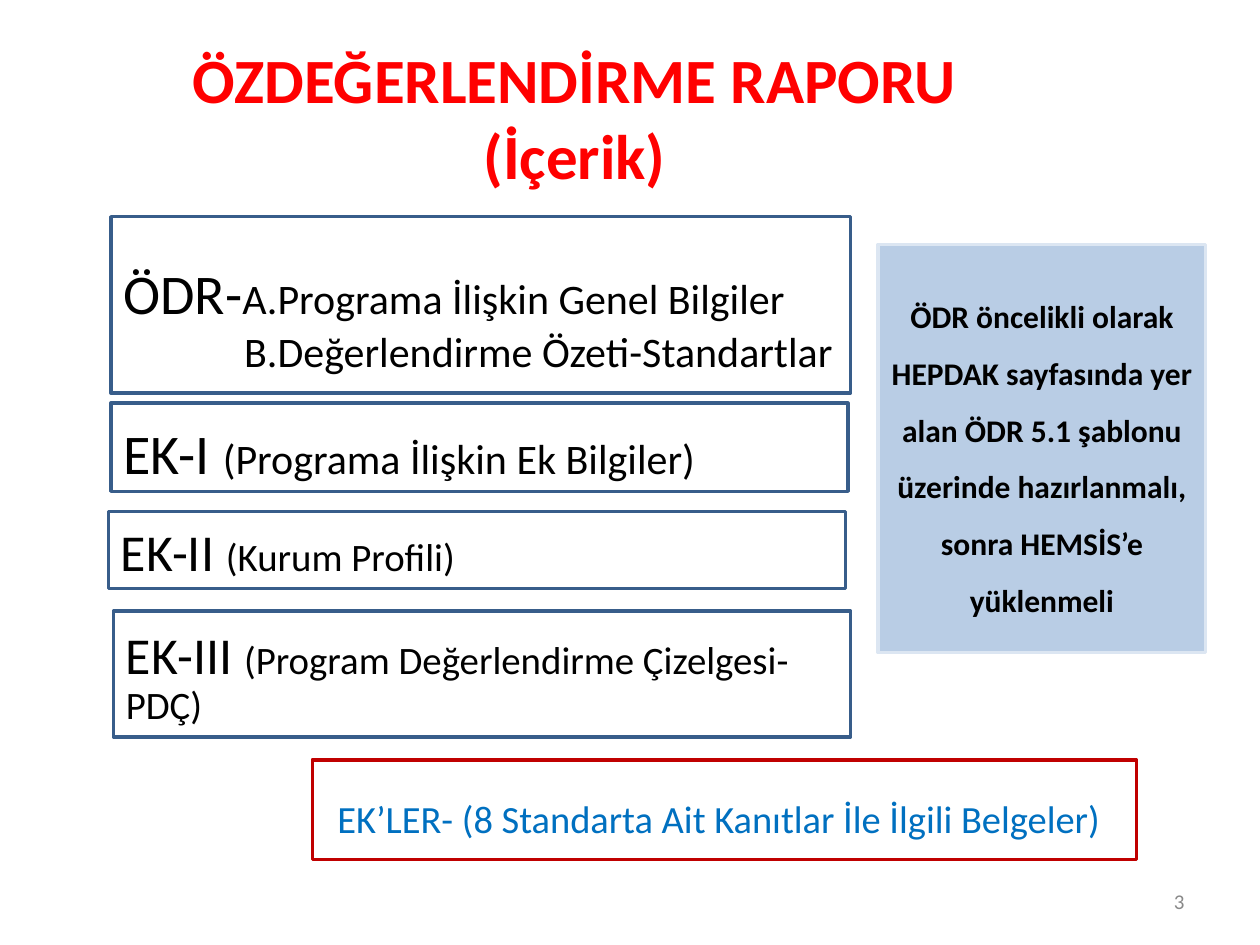
from pptx import Presentation
from pptx.dml.color import RGBColor
from pptx.enum.shapes import MSO_SHAPE
from pptx.enum.text import MSO_ANCHOR, MSO_AUTO_SIZE, PP_ALIGN
from pptx.util import Inches, Pt

COLORS = {
    "title": "FF0000",
    "text": "000000",
    "edge": "385D8A",
    "red": "C00000",
    "blue": "0070C0",
    "fill": "B9CDE5",
    "pale": "DCE6F2",
    "gray": "898989",
}


class Deck:
    font = "Calibri"

    def __init__(self):
        self.prs = Presentation()
        self.prs.slide_width = Inches(10)
        self.prs.slide_height = Inches(7.5)
        self.slide = self.prs.slides.add_slide(self.prs.slide_layouts[5])

    def color(self, name):
        return RGBColor.from_string(COLORS[name])

    def style(self, run, size, color="text", bold=False):
        run.font.name = self.font
        run.font.size = Pt(size)
        run.font.bold = bold
        run.font.color.rgb = self.color(color)

    def frame(self, shape, top=0.05):
        frame = shape.text_frame
        frame.word_wrap = True
        frame.auto_size = MSO_AUTO_SIZE.NONE
        frame.vertical_anchor = MSO_ANCHOR.MIDDLE
        frame.margin_left = frame.margin_right = Inches(0.1)
        frame.margin_top = Inches(top)
        frame.margin_bottom = Inches(0.05)
        return frame

    def add_runs(self, para, parts, align=PP_ALIGN.LEFT, space=None):
        para.alignment = align
        para.line_spacing = space
        for text, *look in parts:
            run = para.add_run()
            run.text = text
            self.style(run, *look)

    def title(self, text, box):
        shape = self.slide.shapes.title
        shape.left, shape.top, shape.width, shape.height = map(Inches, box)
        frame = self.frame(shape)
        frame.text = text
        para = frame.paragraphs[0]
        para.alignment = PP_ALIGN.CENTER
        for run in para.runs:
            self.style(run, 36, "title", True)

    def number(self, text, box):
        shape = self.slide.shapes.add_textbox(*map(Inches, box))
        para = self.frame(shape).paragraphs[0]
        self.add_runs(para, [(text, 12, "gray")], PP_ALIGN.RIGHT)

    def panel(self, box, parts, edge="edge", fill=None, top=0.05,
              align=PP_ALIGN.LEFT, space=None):
        shape = self.slide.shapes.add_shape(
            MSO_SHAPE.RECTANGLE, *map(Inches, box))
        shape.shadow.inherit = False
        shape.line.color.rgb = self.color(edge)
        shape.line.width = Pt(2)
        if fill:
            shape.fill.solid()
            shape.fill.fore_color.rgb = self.color(fill)
        else:
            shape.fill.background()
        frame = self.frame(shape, top)
        self.add_runs(frame.paragraphs[0], parts, align, space)
        return frame

    def indent(self, para, left):
        props = para._p.get_or_add_pPr()
        props.set("marL", str(Inches(left)))
        props.set("indent", "0")


def main():
    deck = Deck()
    deck.title("ÖZDEĞERLENDİRME RAPORU\v(İçerik)", (0.5, 0.3, 8.12, 1.25))
    deck.number("3", (7.17, 6.95, 2.33, 0.4))

    report = deck.panel(
        (0.88, 1.72, 5.87, 1.4),
        [("ÖDR-", 32), ("A.Programa İlişkin Genel Bilgiler", 24)], top=0.24)
    second = report.add_paragraph()
    deck.add_runs(second, [("B.Değerlendirme Özeti-Standartlar", 24)])
    deck.indent(second, 0.96)

    annexes = [
        ((0.88, 3.2, 5.85, 0.7), "EK-I ", "(Programa İlişkin Ek Bilgiler)",
         32, 24, None),
        ((0.86, 4.06, 5.85, 0.61), "EK-II ", "(Kurum Profili)",
         29.6, 22.2, 0.9),
        ((0.9, 4.85, 5.85, 1), "EK-III ",
         "(Program Değerlendirme Çizelgesi-PDÇ)", 29.6, 22.2, 0.9),
    ]
    for box, name, note, big, small, space in annexes:
        deck.panel(box, [(name, big), (note, small)], top=0.13, space=space)

    proof = deck.panel(
        (2.48, 6.03, 6.54, 0.79),
        [("EK’LER- (8 Standarta Ait Kanıtlar İle İlgili Belgeler)",
          22, "blue")], edge="red", top=0.18)
    deck.indent(proof.paragraphs[0], 0.1)

    deck.panel(
        (6.97, 1.94, 2.6, 3.24),
        [("ÖDR öncelikli olarak HEPDAK sayfasında yer alan ÖDR 5.1 şablonu "
          "üzerinde hazırlanmalı, sonra HEMSİS’e yüklenmeli",
          18, "text", True)],
        edge="pale", fill="fill", align=PP_ALIGN.CENTER, space=1.5)

    deck.prs.save("out.pptx")


if __name__ == "__main__":
    main()
